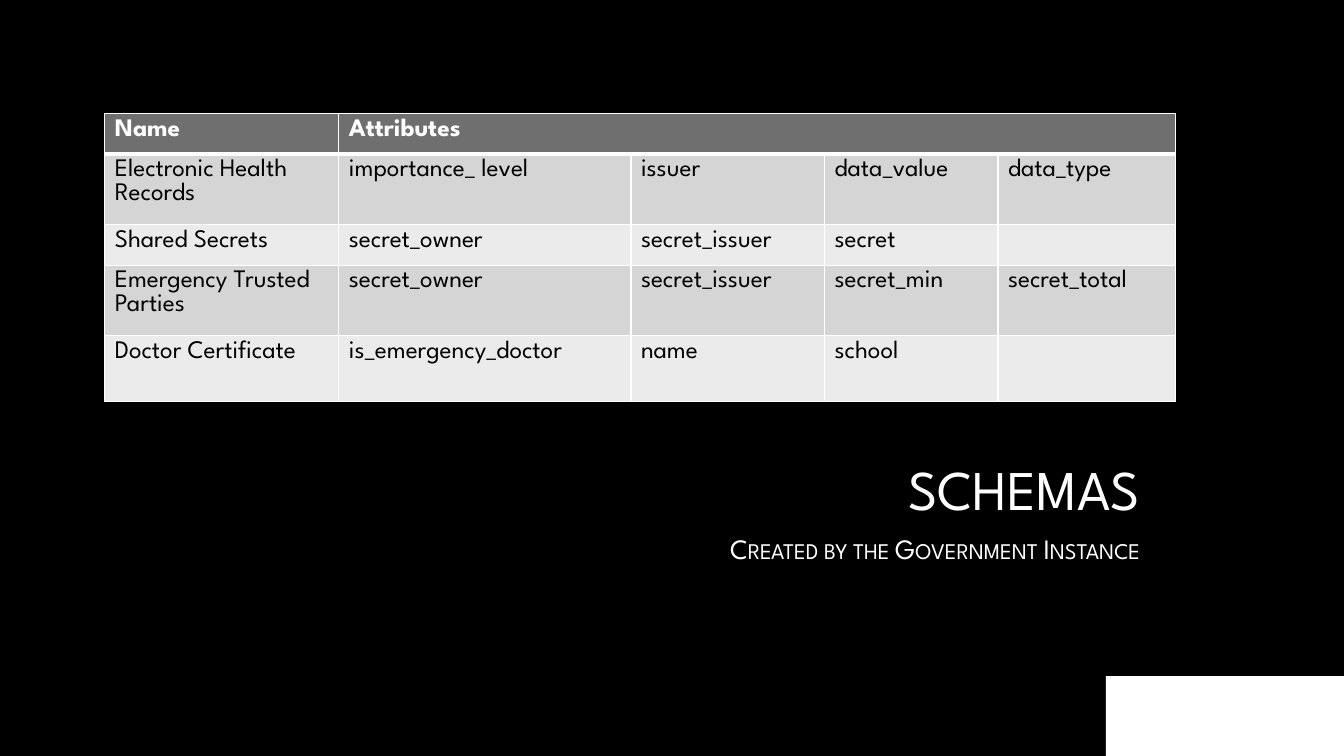
import pptx
import pptx.util
import pptx.dml.color
import pptx.enum.shapes
import pptx.enum.text
import pptx.oxml
import pptx.oxml.ns
from pptx.util import Cm

# Content
TITLE = "SCHEMAS"
SUBTITLE = "Created by the Government Instance"
HEADER = ["Name", "Attributes"]
SCHEMAS = [
    ["Electronic Health Records", "importance_ level", "issuer", "data_value", "data_type"],
    ["Shared Secrets", "secret_owner", "secret_issuer", "secret"],
    ["Emergency Trusted Parties", "secret_owner", "secret_issuer", "secret_min", "secret_total"],
    ["Doctor Certificate", "is_emergency_doctor", "name", "school"],
]

# Look and measures in centimetres
FONT = "League Spartan"
COLOURS = {"back": "000000", "light": "FFFFFF", "dark": "000000",
           "header": "6F6F6F", "odd": "D5D5D5", "even": "EBEBEB"}
COLUMN_WIDTHS = [5.9, 7.36, 4.88, 4.37, 4.47]
ROW_HEIGHTS = [0.97, 1.65, 0.97, 1.65, 1.65]
TABLE_LEFT, TABLE_TOP = 2.64, 2.87
TEXT_LEFT, TEXT_WIDTH = 4.85, 24.13
TITLE_TOP, TITLE_HEIGHT, SUBTITLE_HEIGHT = 9.19, 4.08, 2.39
CORNER_WIDTH, CORNER_HEIGHT = 6, 2.01


def colour(name):
    return pptx.dml.color.RGBColor.from_string(COLOURS[name])


def paint(fill, name):
    fill.solid()
    fill.fore_color.rgb = colour(name)


def add_span(para, text, size, ink, bold=False):
    span = para.add_run()
    span.text = text
    span.font.name = FONT
    span.font.size = pptx.util.Pt(size)
    span.font.bold = bold
    span.font.color.rgb = colour(ink)
    return span


def add_borders(cell, bottom, top):
    properties = cell._tc.get_or_add_tcPr()
    widths = {"lnL": 1, "lnR": 1, "lnT": top, "lnB": bottom}
    for place, (side, width) in enumerate(widths.items()):
        line = pptx.oxml.parse_xml(
            f'<a:{side} {pptx.oxml.ns.nsdecls("a")} w="{pptx.util.Pt(width)}">'
            f'<a:solidFill><a:srgbClr val="{COLOURS["light"]}"/></a:solidFill></a:{side}>')
        properties.insert(place, line)


deck = pptx.Presentation()
deck.slide_width, deck.slide_height = Cm(33.87), Cm(19.05)
page = deck.slides.add_slide(deck.slide_layouts[5])
paint(page.background.fill, "back")

# Title
title = page.shapes.title
title.left, title.top = Cm(TEXT_LEFT), Cm(TITLE_TOP)
title.width, title.height = Cm(TEXT_WIDTH), Cm(TITLE_HEIGHT)
title.text_frame.vertical_anchor = pptx.enum.text.MSO_ANCHOR.BOTTOM
para = title.text_frame.paragraphs[0]
para.alignment = pptx.enum.text.PP_ALIGN.RIGHT
add_span(para, TITLE, 40, "light")

# Subtitle in small capitals
box = page.shapes.add_textbox(Cm(TEXT_LEFT), Cm(TITLE_TOP + TITLE_HEIGHT),
                              Cm(TEXT_WIDTH), Cm(SUBTITLE_HEIGHT))
box.text_frame.word_wrap = True
para = box.text_frame.paragraphs[0]
para.alignment = pptx.enum.text.PP_ALIGN.RIGHT
para.space_before, para.space_after = pptx.util.Pt(4), pptx.util.Pt(6)
span = add_span(para, SUBTITLE, 20, "light")
span.font._element.set("cap", "small")

# Table of schemas
rows = [HEADER] + SCHEMAS
table = page.shapes.add_table(len(rows), len(COLUMN_WIDTHS), Cm(TABLE_LEFT), Cm(TABLE_TOP),
                              Cm(sum(COLUMN_WIDTHS)), Cm(sum(ROW_HEIGHTS))).table
for column, width in zip(table.columns, COLUMN_WIDTHS):
    column.width = Cm(width)
for row, height in zip(table.rows, ROW_HEIGHTS):
    row.height = Cm(height)
table.cell(0, 1).merge(table.cell(0, len(COLUMN_WIDTHS) - 1))

for i, words in enumerate(rows):
    is_header = i == 0
    shade = "header" if is_header else "odd" if i % 2 else "even"
    for j in range(len(COLUMN_WIDTHS)):
        cell = table.cell(i, j)
        paint(cell.fill, shade)
        add_borders(cell, bottom=3 if is_header else 1, top=3 if i == 1 else 1)
        if j < len(words):
            add_span(cell.text_frame.paragraphs[0], words[j], 18,
                     "light" if is_header else "dark", is_header)

# White block in the bottom right corner
corner = page.shapes.add_shape(pptx.enum.shapes.MSO_SHAPE.RECTANGLE,
                               deck.slide_width - Cm(CORNER_WIDTH),
                               deck.slide_height - Cm(CORNER_HEIGHT),
                               Cm(CORNER_WIDTH), Cm(CORNER_HEIGHT))
corner.shadow.inherit = False
paint(corner.fill, "light")
corner.line.fill.background()

deck.save("out.pptx")
